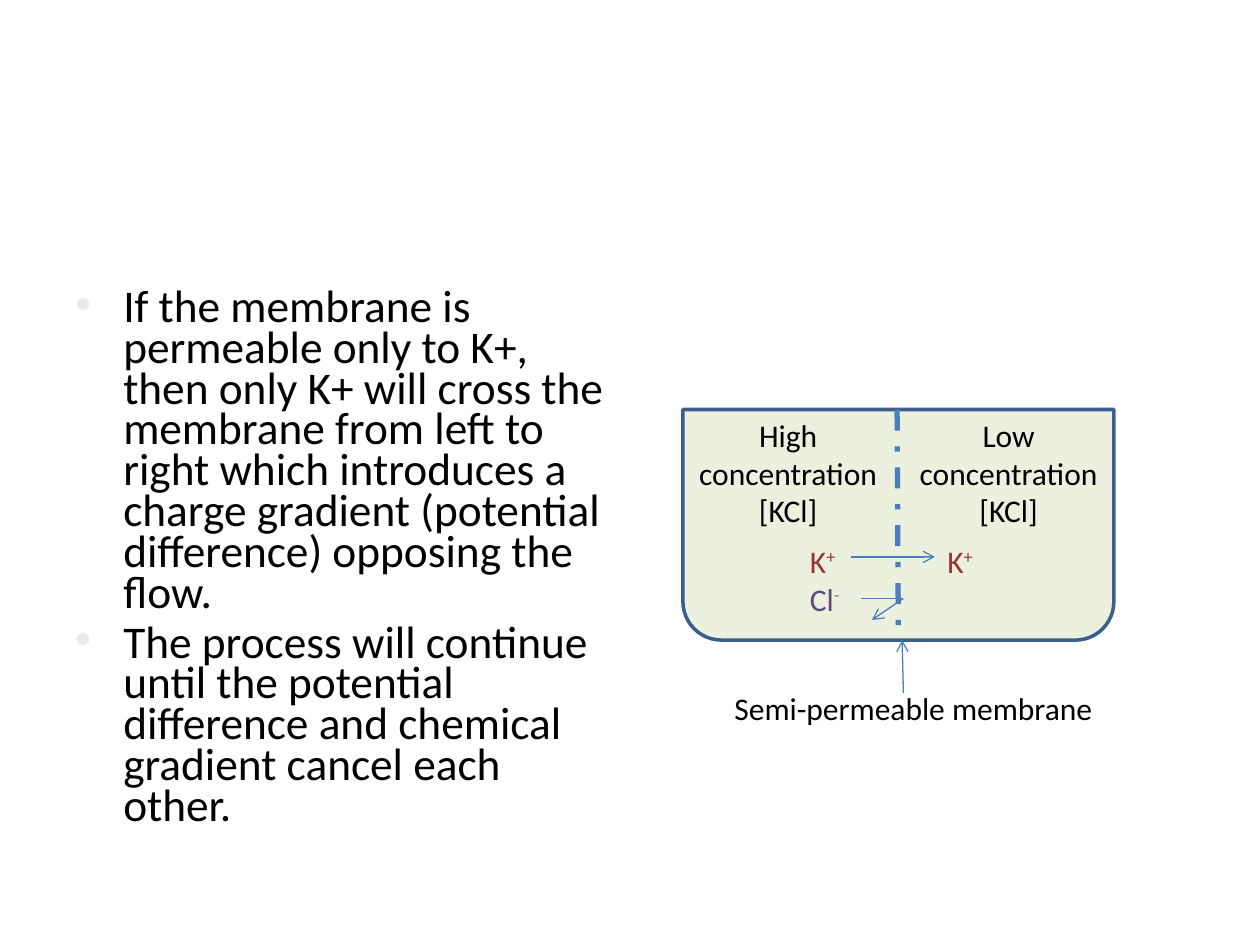
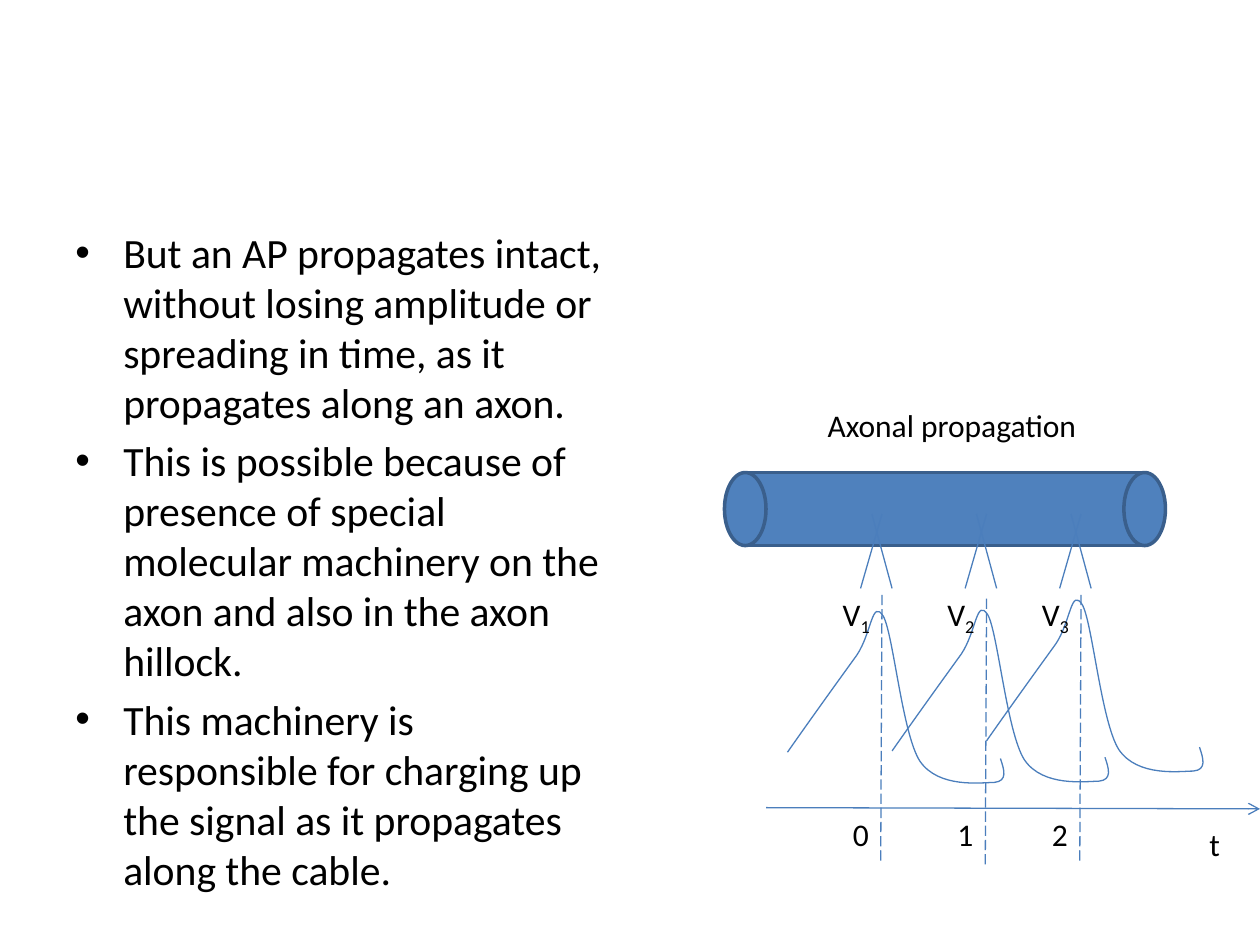
from dataclasses import dataclass

from lxml import etree
from pptx import Presentation
from pptx.dml.color import RGBColor
from pptx.enum.dml import MSO_LINE
from pptx.enum.shapes import MSO_CONNECTOR, MSO_SHAPE
from pptx.enum.text import MSO_ANCHOR, MSO_AUTO_SIZE, PP_ALIGN
from pptx.oxml.ns import qn
from pptx.util import Inches, Pt

STRAIGHT = MSO_CONNECTOR.STRAIGHT
RECTANGLE, ELLIPSE = MSO_SHAPE.RECTANGLE, MSO_SHAPE.OVAL
BEAKER = MSO_SHAPE.ROUND_2_SAME_RECTANGLE
DASH_DOT, LONG_DASH = MSO_LINE.DASH_DOT, MSO_LINE.LONG_DASH
LEFT, CENTER = PP_ALIGN.LEFT, PP_ALIGN.CENTER
TOP = MSO_ANCHOR.TOP
FIT_SHAPE, NO_FIT = MSO_AUTO_SIZE.SHAPE_TO_FIT_TEXT, MSO_AUTO_SIZE.NONE
SUPERSCRIPT, SUBSCRIPT = 30, -25


@dataclass(frozen=True)
class Theme:
    """Colours, font and type sizes shared by the slides."""

    font: str = "Calibri"
    text: str = "000000"
    pale_bullet: str = "EAEAEA"
    line: str = "4B7EBC"
    outline: str = "3A5F8C"
    axon: str = "4F81BD"
    solution: str = "EBF1DE"
    potassium: str = "953735"
    chloride: str = "604A7B"
    charge: str = "77933C"
    label_size: float = 18
    membrane_body_size: float = 25.9
    axon_body_size: float = 23.8
    thin: float = 0.75
    thick: float = 3
    border: float = 2


class Deck:
    """Draws styled elements on the current slide."""

    def __init__(self, theme):
        """Start an empty presentation."""
        self.theme = theme
        self.presentation = Presentation()
        self.presentation.slide_width = Inches(10)
        self.presentation.slide_height = Inches(7.5)
        self.slide = None

    def add_slide(self):
        """Make a new blank slide the current one."""
        blank = self.presentation.slide_layouts[6]
        self.slide = self.presentation.slides.add_slide(blank)

    def add_run(self, paragraph, text, size, color=None, baseline=0):
        """Add one styled run, raised or lowered by a percentage."""
        run = paragraph.add_run()
        run.text = text
        run.font.name = self.theme.font
        run.font.size = Pt(size)
        run.font.color.rgb = RGBColor.from_string(color or self.theme.text)
        if baseline:
            run._r.get_or_add_rPr().set("baseline", str(baseline * 1000))

    def text_frame(self, left, top, width, height, wrap, fit):
        """Add a text box and return its frame."""
        box = self.slide.shapes.add_textbox(
            Inches(left), Inches(top), Inches(width), Inches(height))
        frame = box.text_frame
        frame.word_wrap = wrap
        frame.auto_size = fit
        frame.vertical_anchor = TOP
        return frame

    def label(self, left, top, width, height, lines, align=LEFT, wrap=True):
        """Add a label whose lines are lists of (text, colour, baseline)."""
        frame = self.text_frame(left, top, width, height, wrap, FIT_SHAPE)
        for index, runs in enumerate(lines):
            paragraph = frame.add_paragraph() if index else frame.paragraphs[0]
            paragraph.alignment = align
            for text, color, baseline in runs:
                self.add_run(paragraph, text, self.theme.label_size, color, baseline)

    def plain_label(self, left, top, width, height, text, align=LEFT, wrap=True):
        """Add a label of one plain run."""
        self.label(left, top, width, height, [[(text, None, 0)]], align, wrap)

    def bullets(self, items, size, color, line_spacing=1.0, inset=0.05):
        """Add the bulleted body text on the left."""
        frame = self.text_frame(0.5, 1.75, 4.42, 4.95, True, NO_FIT)
        frame.margin_top = Inches(inset)
        for index, item in enumerate(items):
            paragraph = frame.add_paragraph() if index else frame.paragraphs[0]
            paragraph.line_spacing = line_spacing
            paragraph.space_before = Pt(round(size * 0.2, 1) if index else 0)
            properties = paragraph._p.get_or_add_pPr()
            properties.set("marL", str(Inches(0.38)))
            properties.set("indent", str(-Inches(0.38)))
            bullet_color = etree.SubElement(properties, qn("a:buClr"))
            etree.SubElement(bullet_color, qn("a:srgbClr")).set("val", color)
            etree.SubElement(properties, qn("a:buFont")).set("typeface", "Arial")
            etree.SubElement(properties, qn("a:buChar")).set("char", "•")
            self.add_run(paragraph, item, size)

    def shape(self, kind, left, top, width, height, fill, rotation=0):
        """Add a filled and outlined preset shape."""
        shape = self.slide.shapes.add_shape(
            kind, Inches(left), Inches(top), Inches(width), Inches(height))
        shape.shadow.inherit = False
        shape.rotation = rotation
        shape.fill.solid()
        shape.fill.fore_color.rgb = RGBColor.from_string(fill)
        shape.line.color.rgb = RGBColor.from_string(self.theme.outline)
        shape.line.width = Pt(self.theme.border)

    def line(self, start, end, width=None, dash=None, arrow=False):
        """Add a straight line, dashed or with an open arrowhead if asked."""
        connector = self.slide.shapes.add_connector(
            STRAIGHT, *(Inches(value) for value in (*start, *end)))
        connector.line.color.rgb = RGBColor.from_string(self.theme.line)
        connector.line.width = Pt(width or self.theme.thin)
        if dash:
            connector.line.dash_style = dash
        if arrow:
            outline = connector.line._get_or_add_ln()
            etree.SubElement(outline, qn("a:tailEnd")).set("type", "arrow")
        etree.SubElement(connector._element.spPr, qn("a:effectLst"))

    def curve(self, left, top, points):
        """Draw cubic segments, three points each, relative to the start."""
        builder = self.slide.shapes.build_freeform(Inches(left), Inches(top))
        builder.add_line_segments(
            [(Inches(left + x), Inches(top + y)) for x, y in points], close=False)
        shape = builder.convert_to_shape()
        segments = list(shape._element.iter(qn("a:lnTo")))
        outline = segments[0].getparent()
        for first in range(0, len(segments), 3):
            cubic = etree.SubElement(outline, qn("a:cubicBezTo"))
            for segment in segments[first:first + 3]:
                cubic.append(segment[0])
                outline.remove(segment)
        shape.shadow.inherit = False
        shape.fill.background()
        shape.line.color.rgb = RGBColor.from_string(self.theme.line)
        shape.line.width = Pt(self.theme.thin)


ACTION_POTENTIAL = [
    (0.21, -0.3), (0.42, -0.59), (0.55, -0.77),
    (0.67, -0.95), (0.67, -1.22), (0.76, -1.08),
    (0.84, -0.94), (0.91, -0.15), (1.05, 0.07),
    (1.2, 0.29), (1.54, 0.24), (1.64, 0.24),
    (1.75, 0.23), (1.72, 0.14), (1.69, 0.05),
]


def membrane_slide(deck):
    """Show potassium crossing a semi-permeable membrane."""
    theme = deck.theme
    deck.add_slide()
    deck.bullets([
        "If the membrane is permeable only to K+, then only K+ will cross the "
        "membrane from left to right which introduces a charge gradient "
        "(potential difference) opposing the flow.",
        "The process will continue until the potential difference and chemical "
        "gradient cancel each other.",
    ], theme.membrane_body_size, theme.pale_bullet, line_spacing=0.75, inset=0.55)
    deck.shape(BEAKER, 5.42, 3.25, 3.42, 1.83, theme.solution, rotation=180)
    deck.line((7.12, 3.25), (7.13, 5.08), theme.thick, DASH_DOT)
    for left, level in ((5.42, "High"), (7.17, "Low")):
        deck.plain_label(left, 3.25, 1.67, 1.01, f"{level} concentration [KCl]", CENTER)
    deck.line((7.17, 5.5), (7.16, 5.08), arrow=True)
    deck.plain_label(5.25, 5.42, 4, 0.42, "Semi-permeable membrane", CENTER)
    potassium = [("K", theme.potassium, 0), ("+", theme.potassium, SUPERSCRIPT)]
    chloride = [("Cl", theme.chloride, 0), ("-", theme.charge, SUPERSCRIPT)]
    deck.line((6.75, 4.42), (7.42, 4.42), arrow=True)
    deck.label(6.33, 4.25, 0.5, 0.71, [potassium, chloride])
    deck.label(7.42, 4.25, 0.5, 0.4, [potassium])
    deck.line((7.17, 4.75), (6.92, 4.92), arrow=True)
    deck.line((6.83, 4.75), (7.17, 4.75))


def axon_slide(deck):
    """Show an action potential at three places along an axon."""
    theme = deck.theme
    deck.add_slide()
    deck.shape(RECTANGLE, 5.92, 3.75, 3.17, 0.58, theme.axon)
    deck.bullets([
        "But an AP propagates intact, without losing amplitude or spreading in "
        "time, as it propagates along an axon.",
        "This is possible because of presence of special molecular machinery on "
        "the axon and also in the axon hillock.",
        "This machinery is responsible for charging up the signal as it "
        "propagates along the cable.",
    ], theme.axon_body_size, theme.text)
    for left in (8.92, 5.75):
        deck.shape(ELLIPSE, left, 3.75, 0.33, 0.58, theme.axon)
    deck.plain_label(6.47, 3.17, 2.2, 0.4, "Axonal propagation", wrap=False)
    deck.line((6.08, 6.41), (10, 6.42), arrow=True)
    deck.plain_label(9.5, 6.5, 0.29, 0.4, "t", wrap=False)
    sites = ((7, 5.97, 4.72), (7.83, 5.96, 4.75), (8.58, 5.88, 4.72))
    for time, (x, wave_top, marker_top) in enumerate(sites):
        deck.line((x, 4.08), (x - 0.17, 4.67))
        deck.line((x - 0.08, 4.08), (x + 0.08, 4.67))
        deck.curve(x - 0.75, wave_top, ACTION_POTENTIAL)
        deck.line((x - 0.01, marker_top + 2.11), (x, marker_top), dash=LONG_DASH)
        voltage = [("V", None, 0), (str(time + 1), None, SUBSCRIPT)]
        deck.label(x - 0.41, 4.67, 0.43, 0.4, [voltage], wrap=False)
        deck.plain_label(x - 0.33, 6.42, 0.33, 0.4, str(time), wrap=False)


def main():
    """Build and save both slides."""
    deck = Deck(Theme())
    membrane_slide(deck)
    axon_slide(deck)
    deck.presentation.save("out.pptx")


if __name__ == "__main__":
    main()
